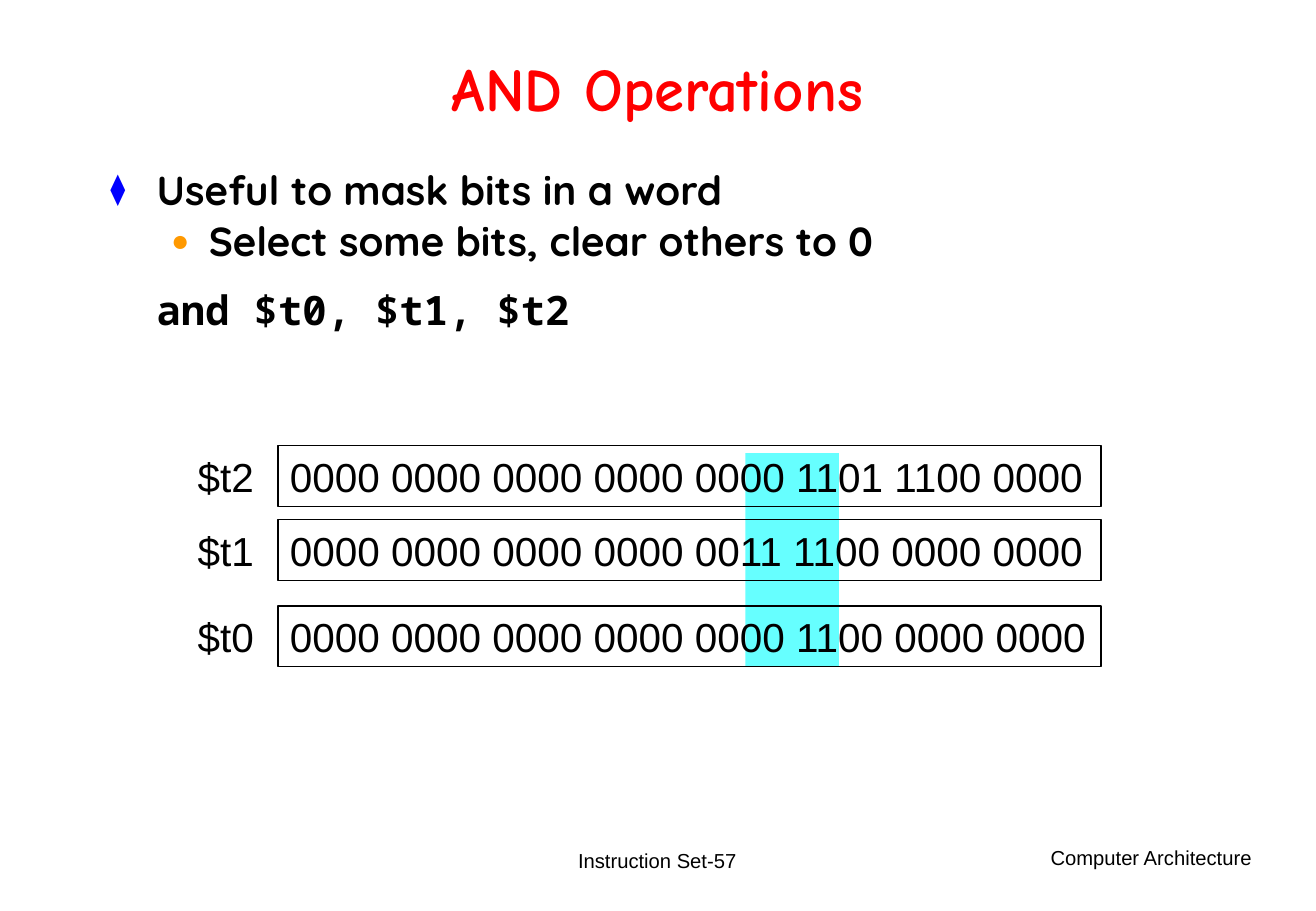
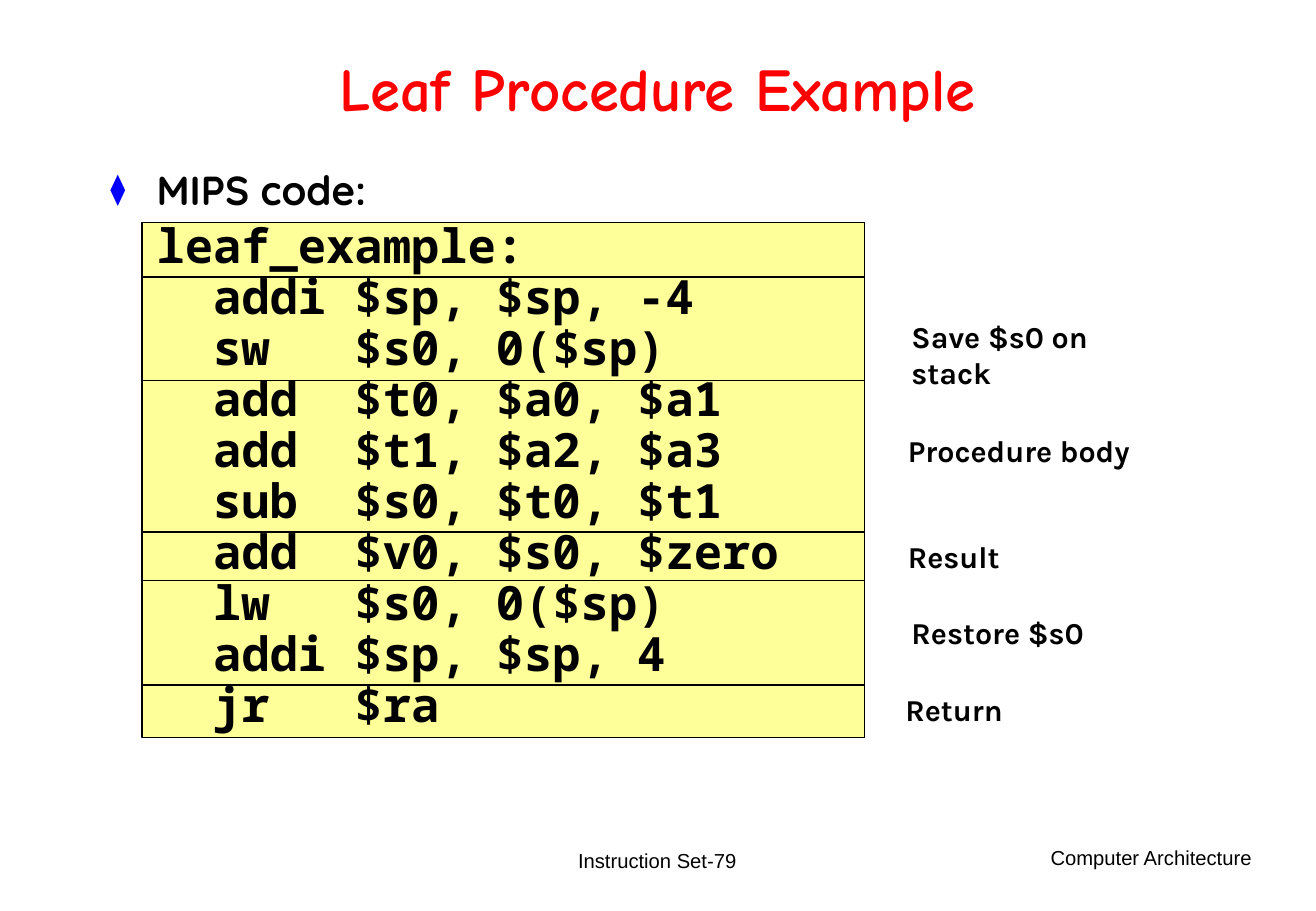
from itertools import pairwise

from lxml import etree
from pptx import Presentation
from pptx import util as u
from pptx.dml.color import RGBColor
from pptx.enum import shapes, text
from pptx.oxml import ns

BLACK, RED, BLUE, ORANGE = "000000", "FF0000", "0000FF", "FF9900"
CYAN, YELLOW = "66FFFF", "FFFF99"
SANS, TITLE, BODY, NOTE, MONO = "Arial", "Comic Neue", "Quicksand", "Karla", "Noto Sans Mono"
LEFT, CENTER, RIGHT = text.PP_ALIGN.LEFT, text.PP_ALIGN.CENTER, text.PP_ALIGN.RIGHT

REGISTERS = [
    ("$t2", "0000 0000 0000 0000 0000 1101 1100 0000", 0),
    ("$t1", "0000 0000 0000 0000 0011 1100 0000 0000", 0.61),
    ("$t0", "0000 0000 0000 0000 0000 1100 0000 0000", 1.32),
]
CODE = """leaf_example:
  addi $sp, $sp, -4
  sw   $s0, 0($sp)
  add  $t0, $a0, $a1
  add  $t1, $a2, $a3
  sub  $s0, $t0, $t1
  add  $v0, $s0, $zero
  lw   $s0, 0($sp)
  addi $sp, $sp, 4
  jr   $ra"""
CODE_EDGES = [0, 0.45, 1.3, 2.55, 2.95, 3.81, 4.24]
CODE_NOTES = [
    ("Save $s0 on stack", 0.05, 0.74),
    ("Procedure body", 0.02, 1.68),
    ("Result", 0.02, 2.55),
    ("Restore $s0", 0.05, 3.18),
    ("Return", 0, 3.81),
]


def rgb(color):
    """Turn a hex string into a colour."""
    return RGBColor.from_string(color)


def add_run(p, words, size, font, color=BLACK, bold=False):
    """Add one formatted run to a paragraph."""
    r = p.add_run()
    r.text = words
    r.font.size, r.font.name, r.font.bold = u.Pt(size), font, bold
    r.font.color.rgb = rgb(color)


def place(sp, left, top, width, height):
    """Move and size a shape in inches."""
    sp.left, sp.top = u.Inches(left), u.Inches(top)
    sp.width, sp.height = u.Inches(width), u.Inches(height)


def add_label(s, box, words, size, font=SANS, bold=False, align=LEFT):
    """Add a one-paragraph text box."""
    tf = s.shapes.add_textbox(*map(u.Inches, box)).text_frame
    tf.word_wrap = True
    tf.paragraphs[0].alignment = align
    add_run(tf.paragraphs[0], words, size, font, bold=bold)
    return tf


def add_box(s, box, fill=None, outlined=True):
    """Add a rectangle behind the placeholders."""
    sp = s.shapes.add_shape(shapes.MSO_SHAPE.RECTANGLE, *map(u.Inches, box))
    sp.shadow.inherit = False
    if fill:
        sp.fill.solid()
        sp.fill.fore_color.rgb = rgb(fill)
    else:
        sp.fill.background()
    if outlined:
        sp.line.color.rgb = rgb(BLACK)
        sp.line.width = u.Pt(0.75)
    else:
        sp.line.fill.background()
    s.shapes.title.element.addprevious(sp.element)
    return sp


def set_bullet(p, margin, hang=0, char=None, color=BLACK):
    """Set the indent and bullet of a paragraph."""
    pPr = p._p.get_or_add_pPr()
    pPr.set("marL", str(u.Inches(margin)))
    pPr.set("indent", str(-u.Inches(hang)))
    if char is None:
        etree.SubElement(pPr, ns.qn("a:buNone"))
        return
    clr = etree.SubElement(pPr, ns.qn("a:buClr"))
    etree.SubElement(clr, ns.qn("a:srgbClr")).set("val", color)
    etree.SubElement(pPr, ns.qn("a:buSzPct")).set("val", "75000")
    etree.SubElement(pPr, ns.qn("a:buChar")).set("char", char)


def add_item(tf, level, before):
    """Return a spaced body paragraph: level 0 or 1 bulleted, None for code."""
    p = tf.paragraphs[0] if not tf.paragraphs[0].runs else tf.add_paragraph()
    if level is None:
        set_bullet(p, 0.38)
    elif level == 0:
        set_bullet(p, 0.38, 0.38, "⧫", BLUE)
    else:
        p.level = level
        set_bullet(p, 0.81, 0.31, "●", ORANGE)
    p.line_spacing = 0.9
    p.space_before, p.space_after = u.Pt(before), u.Pt(0)
    return p


def add_slide(prs, title, number, body_height):
    """Add a slide with title and footers; return it and its body frame."""
    s = prs.slides.add_slide(prs.slide_layouts[1])
    sp, body = s.shapes.title, s.placeholders[1]
    place(sp, 0.81, 0.27, 9.21, 0.99)
    place(body, 0.81, 1.35, 9.21, body_height)
    for tf in (sp.text_frame, body.text_frame):
        tf.auto_size = text.MSO_AUTO_SIZE.NONE
    sp.text_frame.vertical_anchor = text.MSO_ANCHOR.MIDDLE
    p = sp.text_frame.paragraphs[0]
    p.alignment, p.line_spacing = CENTER, 0.85
    add_run(p, title, 36, TITLE, RED, True)
    add_label(s, (8.12, 6.91, 2.29, 0.5), "Computer Architecture", 12, align=RIGHT)
    tf = add_label(s, (3.7, 6.83, 3.43, 0.5), f"Instruction Set-{number}", 12, align=CENTER)
    tf.vertical_anchor = text.MSO_ANCHOR.MIDDLE
    return s, body.text_frame


def add_registers(s, left, top):
    """Draw the register rows over the highlighted mask bits."""
    add_box(s, (left + 4.61, top + 0.06, 0.77, 1.76), CYAN, outlined=False)
    for name, bits, offset in REGISTERS:
        y = top + offset
        add_label(s, (left, y, 0.76, 0.5), name, 24)
        tf = add_box(s, (left + 0.76, y, 6.78, 0.5)).text_frame
        tf.vertical_anchor = text.MSO_ANCHOR.TOP
        tf.margin_right = u.Inches(0.05)
        tf.paragraphs[0].alignment = LEFT
        add_run(tf.paragraphs[0], bits, 24, SANS)


def add_code_panel(s, left, top):
    """Draw the code sections and the notes beside them."""
    for start, end in pairwise(CODE_EDGES):
        add_box(s, (left, top + start, 5.95, end - start), YELLOW)
    for words, dx, dy in CODE_NOTES:
        add_label(s, (left + 6.19 + dx, top + dy, 2.16, 0.4), words, 18, NOTE, True)


def build_and_slide(prs):
    """Build the slide on AND operations."""
    s, tf = add_slide(prs, "AND Operations", 57, 2.25)
    add_run(add_item(tf, 0, 0), "Useful to mask bits in a word", 24, BODY, bold=True)
    add_run(add_item(tf, 1, 4.5), "Select some bits, clear others to 0", 24, BODY, bold=True)
    add_run(add_item(tf, None, 15), "and $t0, $t1, $t2", 24, MONO, bold=True)
    add_registers(s, 1.53, 3.67)


def build_leaf_slide(prs):
    """Build the slide with the leaf procedure."""
    s, tf = add_slide(prs, "Leaf Procedure Example", 79, 5.56)
    add_run(add_item(tf, 0, 0), "MIPS code:", 24, BODY, bold=True)
    p = add_item(tf, None, 5.2)
    for i, line in enumerate(CODE.splitlines()):
        if i:
            p.add_line_break()
        add_run(p, line, 28, MONO, bold=True)
    add_code_panel(s, 1.17, 1.83)


def main():
    """Build and save the presentation."""
    prs = Presentation()
    prs.slide_width, prs.slide_height = u.Inches(10.84), u.Inches(7.5)
    build_and_slide(prs)
    build_leaf_slide(prs)
    prs.save("out.pptx")


if __name__ == "__main__":
    main()
